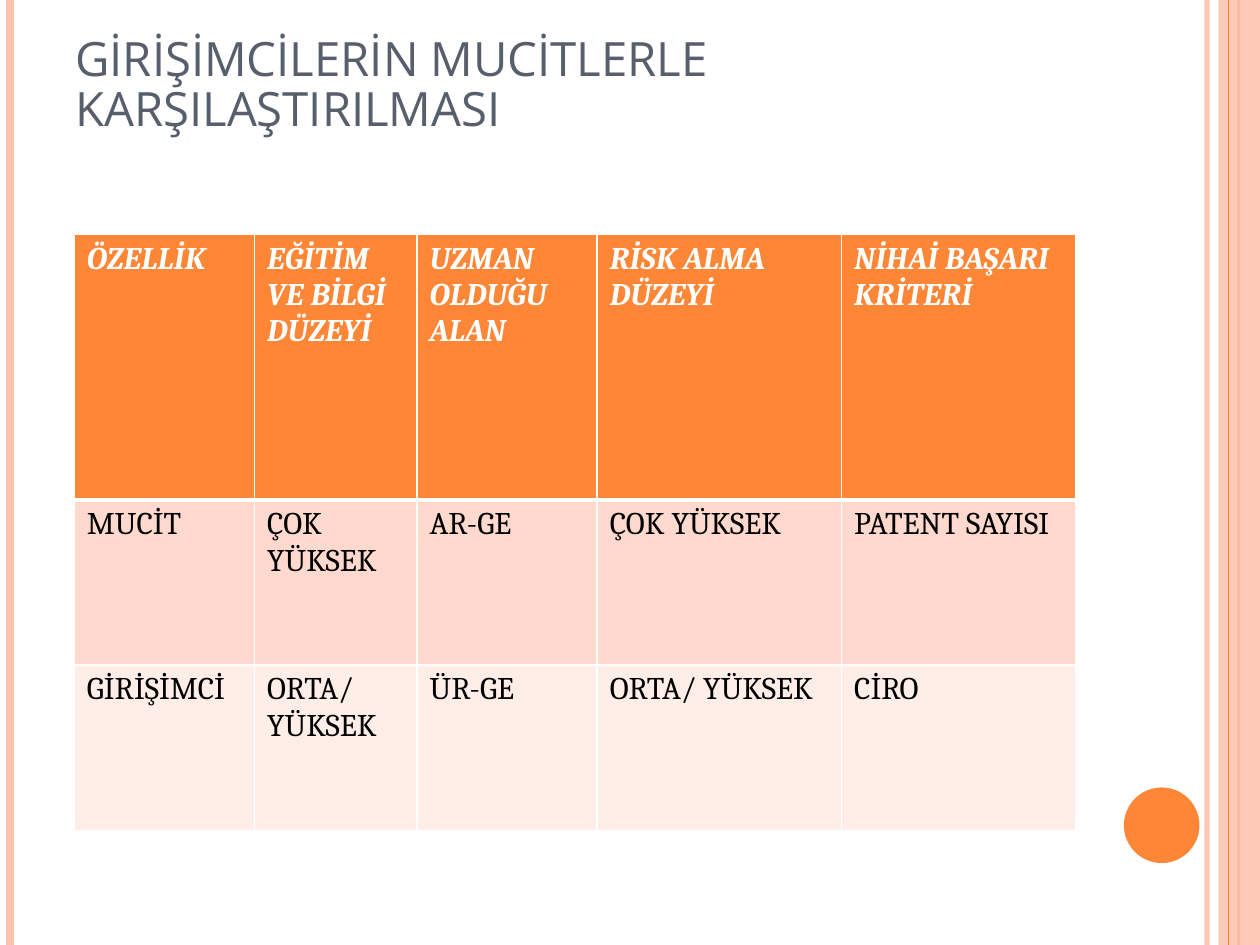
from dataclasses import dataclass

from lxml import etree
from pptx import Presentation
from pptx.dml.color import RGBColor
from pptx.enum.shapes import MSO_CONNECTOR, MSO_SHAPE
from pptx.enum.text import MSO_ANCHOR
from pptx.oxml.ns import qn
from pptx.util import Inches, Pt

STRAIGHT = MSO_CONNECTOR.STRAIGHT
RECTANGLE, OVAL = MSO_SHAPE.RECTANGLE, MSO_SHAPE.OVAL
BOTTOM = MSO_ANCHOR.BOTTOM


@dataclass(frozen=True)
class Theme:
    accent: str = "FE8637"
    pale: str = "FEC3AE"
    white: str = "FFFFFF"
    body_text: str = "000000"
    title_text: str = "575F6D"
    row_fills: tuple = ("FE8637", "FFD9CE", "FFEDE8")
    title_font: str = "Open Sans"
    table_font: str = "Cambria"
    title_size: float = 27
    table_size: float = 18
    border: float = 1
    header_rule: float = 3


THEME = Theme()
WIDTH, HEIGHT = 10, 7.5

TITLE = "GİRİŞİMCİLERİN MUCİTLERLE KARŞILAŞTIRILMASI"
ROWS = [
    ["ÖZELLİK", "EĞİTİM VE BİLGİ DÜZEYİ", "UZMAN OLDUĞU ALAN",
     "RİSK ALMA\nDÜZEYİ", "NİHAİ BAŞARI KRİTERİ"],
    ["MUCİT", "ÇOK YÜKSEK", "AR-GE", "ÇOK YÜKSEK", "PATENT SAYISI"],
    ["GİRİŞİMCİ", "ORTA/ YÜKSEK", "ÜR-GE", "ORTA/ YÜKSEK", "CİRO"],
]
COLUMN_WIDTHS = [1.43, 1.29, 1.43, 1.94, 1.86]
ROW_HEIGHTS = [2.11, 1.31, 1.31]
TABLE_LEFT, TABLE_TOP = 0.59, 1.86

# x, colour, line width in points, opacity in percent
BACK_STRIPES = [
    (9.58, THEME.pale, 3, 93),
    (0.08, THEME.pale, 4.5, 100),
    (9.83, THEME.accent, 1.5, 100),
]
FRONT_STRIPES = [(9.75, THEME.accent, 0.75, 100)]
BAND = (RECTANGLE, 9.67, 0, 0.33, HEIGHT, THEME.pale, 87)
DISC = (OVAL, 8.92, 6.25, 0.6, 0.6, THEME.accent, 100)


def color(value):
    return RGBColor.from_string(value)


def set_opacity(properties, percent):
    """Add an alpha value to the first solid colour under properties."""
    if percent < 100:
        swatch = next(properties.iter(qn("a:srgbClr")))
        etree.SubElement(swatch, qn("a:alpha"), val=str(percent * 1000))


def add_stripe(slide, x, line_color, width, opacity):
    stripe = slide.shapes.add_connector(
        STRAIGHT, Inches(x), 0, Inches(x), Inches(HEIGHT))
    stripe.line.color.rgb = color(line_color)
    stripe.line.width = Pt(width)
    properties = stripe._element.spPr
    set_opacity(properties, opacity)
    etree.SubElement(properties, qn("a:effectLst"))


def add_plain_shape(slide, kind, left, top, width, height, fill, opacity):
    shape = slide.shapes.add_shape(kind, *map(Inches, (left, top, width, height)))
    shape.shadow.inherit = False
    shape.fill.solid()
    shape.fill.fore_color.rgb = color(fill)
    shape.line.fill.background()
    set_opacity(shape._element.spPr, opacity)


def style_text(text_frame, font_name, size, text_color, emphasis=False):
    for paragraph in text_frame.paragraphs:
        for run in paragraph.runs:
            font = run.font
            font.name, font.size = font_name, Pt(size)
            font.color.rgb = color(text_color)
            font.bold = font.italic = emphasis


def add_title(slide):
    box = slide.shapes.add_textbox(*map(Inches, (0.5, 0.3, 8.17, 1.25)))
    frame = box.text_frame
    frame.word_wrap = True
    frame.vertical_anchor = BOTTOM
    frame.margin_top, frame.margin_bottom = 0, Inches(0.47)
    frame.text = TITLE
    frame.paragraphs[0].line_spacing = 0.87
    style_text(frame, THEME.title_font, THEME.title_size, THEME.title_text)


def set_borders(cell, bottom_width):
    properties = cell._tc.get_or_add_tcPr()
    widths = {"lnL": THEME.border, "lnR": THEME.border,
              "lnT": THEME.border, "lnB": bottom_width}
    for index, (side, width) in enumerate(widths.items()):
        line = etree.Element(qn(f"a:{side}"), w=str(Pt(width)))
        fill = etree.SubElement(line, qn("a:solidFill"))
        etree.SubElement(fill, qn("a:srgbClr"), val=THEME.white)
        properties.insert(index, line)


def add_comparison_table(slide):
    table = slide.shapes.add_table(
        len(ROWS), len(COLUMN_WIDTHS), Inches(TABLE_LEFT), Inches(TABLE_TOP),
        Inches(sum(COLUMN_WIDTHS)), Inches(sum(ROW_HEIGHTS))).table
    for column, width in zip(table.columns, COLUMN_WIDTHS):
        column.width = Inches(width)
    for row_index, texts in enumerate(ROWS):
        header = row_index == 0
        table.rows[row_index].height = Inches(ROW_HEIGHTS[row_index])
        for column_index, text in enumerate(texts):
            cell = table.cell(row_index, column_index)
            cell.text = text
            style_text(cell.text_frame, THEME.table_font, THEME.table_size,
                       THEME.white if header else THEME.body_text, header)
            cell.fill.solid()
            cell.fill.fore_color.rgb = color(THEME.row_fills[row_index])
            set_borders(cell, THEME.header_rule if header else THEME.border)
            if row_index == 1:
                top_line = cell._tc.tcPr.find(qn("a:lnT"))
                top_line.set("w", str(Pt(THEME.header_rule)))


def main():
    presentation = Presentation()
    presentation.slide_width = Inches(WIDTH)
    presentation.slide_height = Inches(HEIGHT)
    slide = presentation.slides.add_slide(presentation.slide_layouts[6])
    for stripe in BACK_STRIPES:
        add_stripe(slide, *stripe)
    add_plain_shape(slide, *BAND)
    for stripe in FRONT_STRIPES:
        add_stripe(slide, *stripe)
    add_plain_shape(slide, *DISC)
    add_title(slide)
    add_comparison_table(slide)
    presentation.save("out.pptx")


if __name__ == "__main__":
    main()
